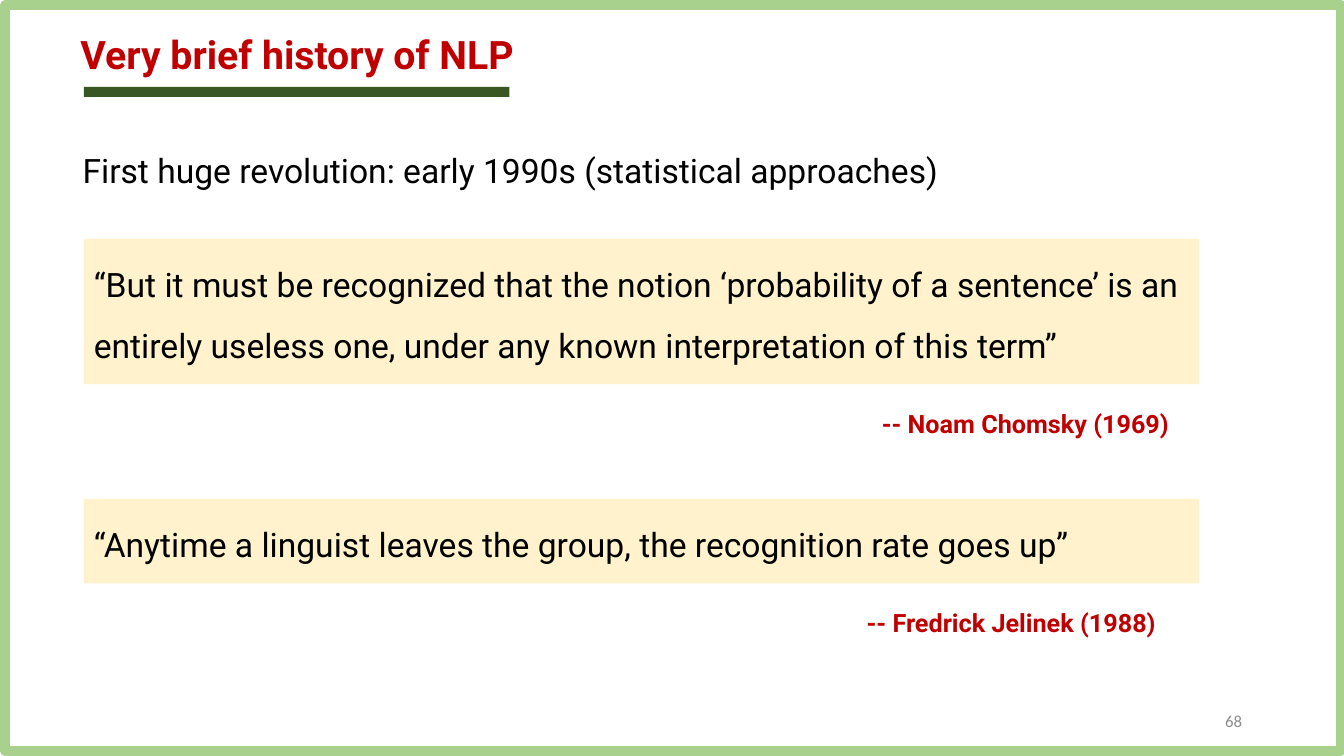
from dataclasses import dataclass

from pptx import Presentation
from pptx import util as u
from pptx.dml.color import RGBColor
from pptx.enum import shapes, text

COLUMNS, ROWS = 160, 90
SLIDE_WIDTH, SLIDE_HEIGHT = u.Inches(13.33), u.Inches(7.5)


@dataclass(frozen=True)
class Theme:
    paper: str = "FFFFFF"
    frame: str = "A9D18E"
    rule: str = "385723"
    quote_fill: str = "FFF2CC"
    accent: str = "C00000"
    ink: str = "000000"
    muted: str = "8C8C8C"
    font: str = "Roboto"
    number_font: str = "Calibri"
    title_size: int = 28
    body_size: int = 24
    author_size: int = 18
    number_size: int = 12
    frame_width: int = 7
    body_spacing: float = 1.5
    title_spacing: float = 0.9


THEME = Theme()
LEFT, QUOTE_WIDTH = 10, 132.75


def place(column, row, columns, rows):
    """Turn grid cells into left, top, width and height."""
    across, down = SLIDE_WIDTH / COLUMNS, SLIDE_HEIGHT / ROWS
    return (round(column * across), round(row * down),
            round(columns * across), round(rows * down))


def add_panel(slide, cells, fill, border=None):
    panel = slide.shapes.add_shape(shapes.MSO_SHAPE.RECTANGLE, *place(*cells))
    panel.shadow.inherit = False
    panel.fill.solid()
    panel.fill.fore_color.rgb = RGBColor.from_string(fill)
    if border:
        panel.line.color.rgb = RGBColor.from_string(border)
        panel.line.width = u.Pt(THEME.frame_width)
    else:
        panel.line.fill.background()
    return panel


def write(holder, words, size, color=THEME.ink, bold=False, font=THEME.font,
          spacing=THEME.body_spacing, align=text.PP_ALIGN.LEFT,
          anchor=text.MSO_ANCHOR.TOP):
    frame = holder.text_frame
    frame.text = words
    frame.word_wrap = True
    frame.vertical_anchor = anchor
    paragraph = frame.paragraphs[0]
    paragraph.alignment = align
    paragraph.line_spacing = spacing
    style = paragraph.runs[0].font
    style.name, style.size, style.bold = font, u.Pt(size), bold
    style.color.rgb = RGBColor.from_string(color)


def add_words(slide, cells, words, size, **look):
    write(slide.shapes.add_textbox(*place(*cells)), words, size, **look)


def add_quote(slide, row, rows, words):
    panel = add_panel(slide, (LEFT, row, QUOTE_WIDTH, rows), THEME.quote_fill)
    write(panel, words, THEME.body_size)


def add_author(slide, column, row, words):
    add_words(slide, (column, row, 38.65, 8.15), words, THEME.author_size,
              color=THEME.accent, bold=True)


def main():
    deck = Presentation()
    deck.slide_width, deck.slide_height = SLIDE_WIDTH, SLIDE_HEIGHT
    slide = deck.slides.add_slide(deck.slide_layouts[6])

    add_panel(slide, (0.6, 0.6, 159, 88.8), THEME.paper, THEME.frame)
    add_words(slide, (8.4, 3.6, 71.65, 9.85), "Very brief history of NLP",
              THEME.title_size, color=THEME.accent, bold=True,
              spacing=THEME.title_spacing)
    add_panel(slide, (LEFT, 10.35, 50.65, 1.2), THEME.rule)
    add_words(slide, (8.65, 14.9, 114.5, 17.3),
              "First huge revolution: early 1990s (statistical approaches)",
              THEME.body_size)

    add_quote(slide, 28.45, 17.3,
              "“But it must be recognized that the notion ‘probability of a "
              "sentence’ is an entirely useless one, under any known "
              "interpretation of this term”")
    add_author(slide, 103.8, 46.2, "-- Noam Chomsky (1969)")
    add_quote(slide, 59.4, 10.05,
              "“Anytime a linguist leaves the group, the recognition rate "
              "goes up”")
    add_author(slide, 102, 69.85, "-- Fredrick Jelinek (1988)")

    add_words(slide, (113.05, 83.4, 36, 4.8), "68", THEME.number_size,
              color=THEME.muted, font=THEME.number_font, spacing=1.0,
              align=text.PP_ALIGN.RIGHT, anchor=text.MSO_ANCHOR.MIDDLE)

    deck.save("out.pptx")


if __name__ == "__main__":
    main()
